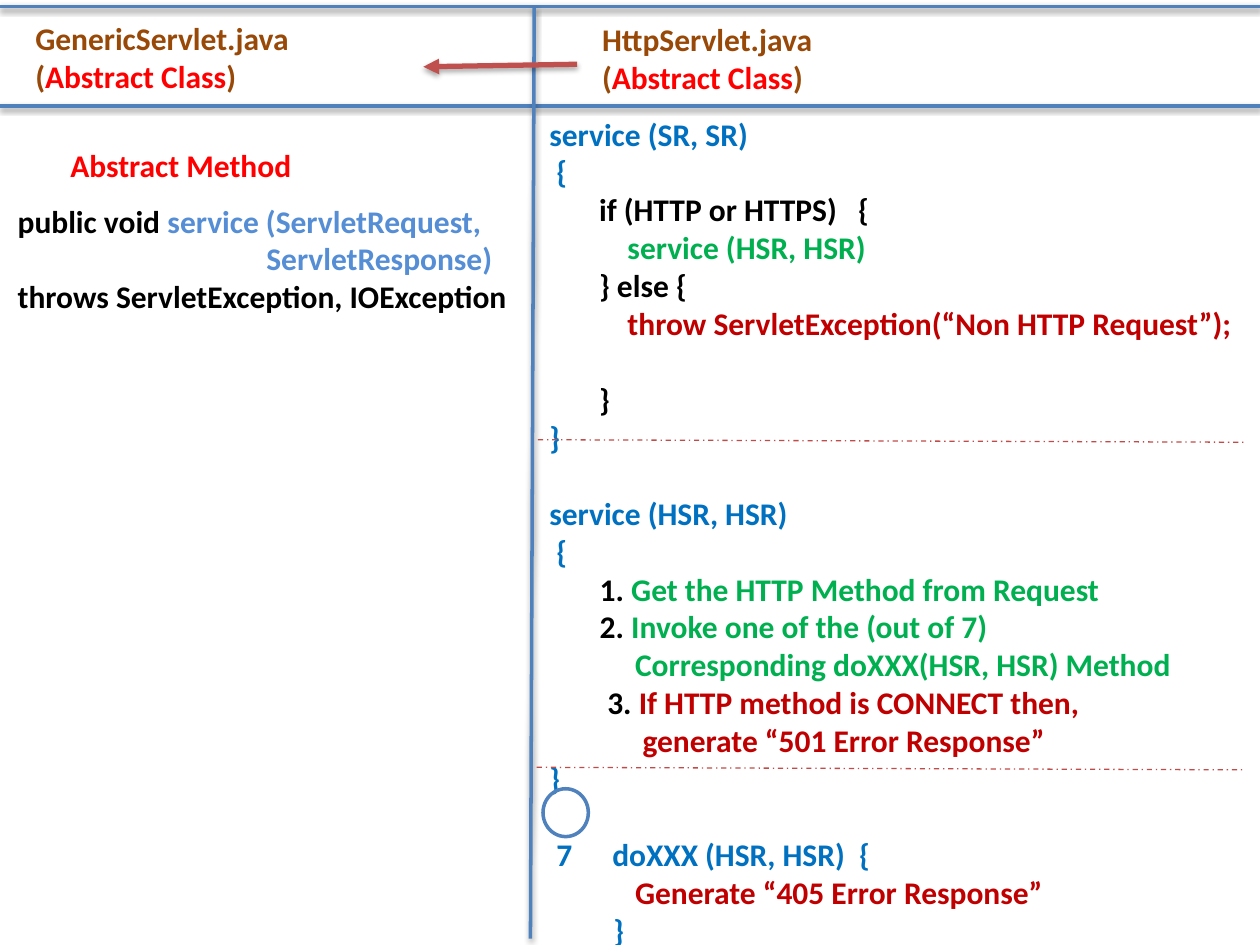
from dataclasses import dataclass

import pptx
import pptx.dml.color
import pptx.enum.dml
import pptx.enum.shapes
import pptx.enum.text
import pptx.oxml
import pptx.oxml.ns
import pptx.util
from pptx.util import Inches

COLORS = {
    "black": "000000",
    "brown": "984807",
    "red": "FF0000",
    "sky": "558ED5",
    "blue": "0070C0",
    "green": "00B050",
    "crimson": "C00000",
    "rule": "4F81BD",
    "arrow": "C0504D",
    "divider": "BF4C48",
}
NAMESPACE = pptx.oxml.ns.nsdecls("a")


@dataclass
class Line:
    """One line of text: (text, colour) runs, lengths in inches, gap in points."""
    runs: list[tuple[str, str]]
    indent: float = 0
    gap: float = 0
    tab: float = 0


@dataclass
class Rule:
    """A straight line; shadow is (opacity in percent, distance in points)."""
    start: tuple[float, float]
    end: tuple[float, float]
    color: str = "rule"
    width: float = 2
    shadow: tuple[float, float] | None = (38, 1.6)
    arrow: bool = False
    dashed: bool = False


def rgb(color: str) -> pptx.dml.color.RGBColor:
    return pptx.dml.color.RGBColor.from_string(COLORS[color])


def add_xml(parent, xml: str) -> None:
    """Append an a: element, given without its namespace declaration."""
    tag, rest = xml.split(" ", 1)
    parent.append(pptx.oxml.parse_xml(f"{tag} {NAMESPACE} {rest}"))


def write_lines(box, area: tuple[float, float, float, float],
                lines: list[Line], wrap: bool = True) -> None:
    """Place a box or placeholder and fill it with coloured lines."""
    box.left, box.top, box.width, box.height = map(Inches, area)
    frame = box.text_frame
    frame.word_wrap = wrap
    frame.auto_size = pptx.enum.text.MSO_AUTO_SIZE.NONE
    frame.vertical_anchor = pptx.enum.text.MSO_ANCHOR.TOP
    for number, line in enumerate(lines):
        paragraph = frame.add_paragraph() if number else frame.paragraphs[0]
        properties = paragraph._p.get_or_add_pPr()
        properties.set("marL", str(Inches(line.indent)))
        properties.set("indent", "0")
        add_xml(properties, "<a:buNone />")
        if line.tab:
            add_xml(properties, '<a:tabLst ><a:tab algn="l" '
                                f'pos="{Inches(line.tab)}"/></a:tabLst>')
        paragraph.alignment = pptx.enum.text.PP_ALIGN.LEFT
        paragraph.space_before = pptx.util.Pt(line.gap)
        main_color = line.runs[0][1]
        paragraph.font.name = "Calibri"
        paragraph.font.size = pptx.util.Pt(18)
        paragraph.font.bold = True
        paragraph.font.color.rgb = rgb(main_color)
        for text, color in line.runs:
            run = paragraph.add_run()
            run.text = text
            if color != main_color:
                run.font.color.rgb = rgb(color)


def draw_rule(slide, rule: Rule) -> None:
    connector = slide.shapes.add_connector(
        pptx.enum.shapes.MSO_CONNECTOR.STRAIGHT,
        *map(Inches, rule.start + rule.end))
    connector.line.color.rgb = rgb(rule.color)
    connector.line.width = pptx.util.Pt(rule.width)
    if rule.dashed:
        connector.line.dash_style = pptx.enum.dml.MSO_LINE.DASH_DOT
    if rule.arrow:
        add_xml(connector.line._get_or_add_ln(), '<a:tailEnd type="triangle"/>')
    effect = ""
    if rule.shadow:
        opacity, distance = rule.shadow
        effect = (f'<a:outerShdw blurRad="{pptx.util.Pt(3.1)}" '
                  f'dist="{pptx.util.Pt(distance)}" dir="5400000" rotWithShape="0">'
                  f'<a:srgbClr val="{COLORS["black"]}">'
                  f'<a:alpha val="{opacity * 1000}"/></a:srgbClr></a:outerShdw>')
    add_xml(connector._element.spPr, f"<a:effectLst >{effect}</a:effectLst>")


def class_heading(file_name: str) -> list[Line]:
    return [Line([(file_name, "brown")]),
            Line([("(", "brown"), ("Abstract Class", "red"), (")", "brown")])]


BLANK_LINE = 22  # points
STEP, STEP_TEXT = 0.4, 0.68  # indents of the numbered steps

ABSTRACT_METHOD = [
    Line([("public void ", "black"), ("service (ServletRequest,", "sky")]),
    Line([(" " * 35 + "ServletResponse)", "sky")]),
    Line([("throws ServletException, IOException", "black")]),
]

HTTP_SERVLET = [
    # Public service method
    Line([("service (SR, SR)", "blue")]),
    Line([(" {", "blue")]),
    Line([("       if (HTTP or HTTPS)   {", "black")]),
    Line([("           service (HSR, HSR)", "green")]),
    Line([("       } else {", "black")]),
    Line([("           throw ServletException(“Non HTTP Request”);", "crimson")]),
    Line([("       }", "black")], gap=BLANK_LINE),
    Line([("}", "blue")]),
    # HTTP service method
    Line([("service (HSR, HSR)", "blue")], gap=BLANK_LINE),
    Line([(" {", "blue")]),
    Line([("1. ", "black"), ("Get the HTTP Method from Request", "green")], STEP),
    Line([("2. ", "black"), ("Invoke one of the (out of 7)", "green")], STEP),
    Line([("Corresponding doXXX(HSR, HSR) Method", "green")], STEP_TEXT),
    Line([("3. ", "black"), ("If HTTP method is CONNECT then,", "crimson")],
         STEP + 0.06),
    Line([("generate “501 Error Response”", "crimson")], STEP_TEXT + 0.06),
    Line([("}", "blue")]),
    # The seven doXXX methods
    Line([(" 7\tdoXXX (HSR, HSR)  {", "blue")], gap=BLANK_LINE, tab=0.41),
    Line([("Generate “405 Error Response”", "crimson")], STEP_TEXT),
    Line([("         }", "blue")]),
]

RULES = [
    Rule((0, 0.84), (10, 0.84)),
    Rule((0, 0.05), (10, 0.05)),
    Rule((4.24, 0.06), (4.21, 7.45)),
    Rule((4.58, 0.51), (3.36, 0.53), "arrow", 3, (35, 1.8), arrow=True),
    Rule((4.27, 3.49), (9.89, 3.51), "divider", 0.75, None, dashed=True),
    Rule((4.26, 6.09), (9.88, 6.11), "divider", 0.75, None, dashed=True),
]


def main() -> None:
    deck = pptx.Presentation()
    deck.slide_width, deck.slide_height = Inches(10), Inches(7.5)
    slide = deck.slides.add_slide(deck.slide_layouts.get_by_name("Two Content"))
    generic_heading, generic_body, http_body = slide.placeholders

    # Left column: GenericServlet
    write_lines(generic_heading, (0.18, 0.1, 2.25, 0.71),
                class_heading("GenericServlet.java"))
    method_label = slide.shapes.add_textbox(0, 0, 0, 0)
    write_lines(method_label, (0.46, 1.11, 1.97, 0.4),
                [Line([("Abstract Method", "red")])], wrap=False)
    write_lines(generic_body, (0.04, 1.55, 4.2, 1.01), ABSTRACT_METHOD)

    # Right column: HttpServlet
    http_heading = slide.shapes.add_textbox(0, 0, 0, 0)
    write_lines(http_heading, (4.68, 0.11, 1.97, 0.71),
                class_heading("HttpServlet.java"))
    write_lines(http_body, (4.26, 0.86, 5.66, 6.77), HTTP_SERVLET)

    # Frame lines, inheritance arrow and method dividers
    for rule in RULES:
        draw_rule(slide, rule)

    # Ring for the method count
    count_ring = slide.shapes.add_shape(
        pptx.enum.shapes.MSO_SHAPE.FLOWCHART_CONNECTOR,
        *map(Inches, (4.31, 6.26, 0.36, 0.38)))
    count_ring.shadow.inherit = False
    count_ring.fill.background()
    count_ring.line.color.rgb = rgb("rule")
    count_ring.line.width = pptx.util.Pt(2)

    deck.save("out.pptx")


if __name__ == "__main__":
    main()
